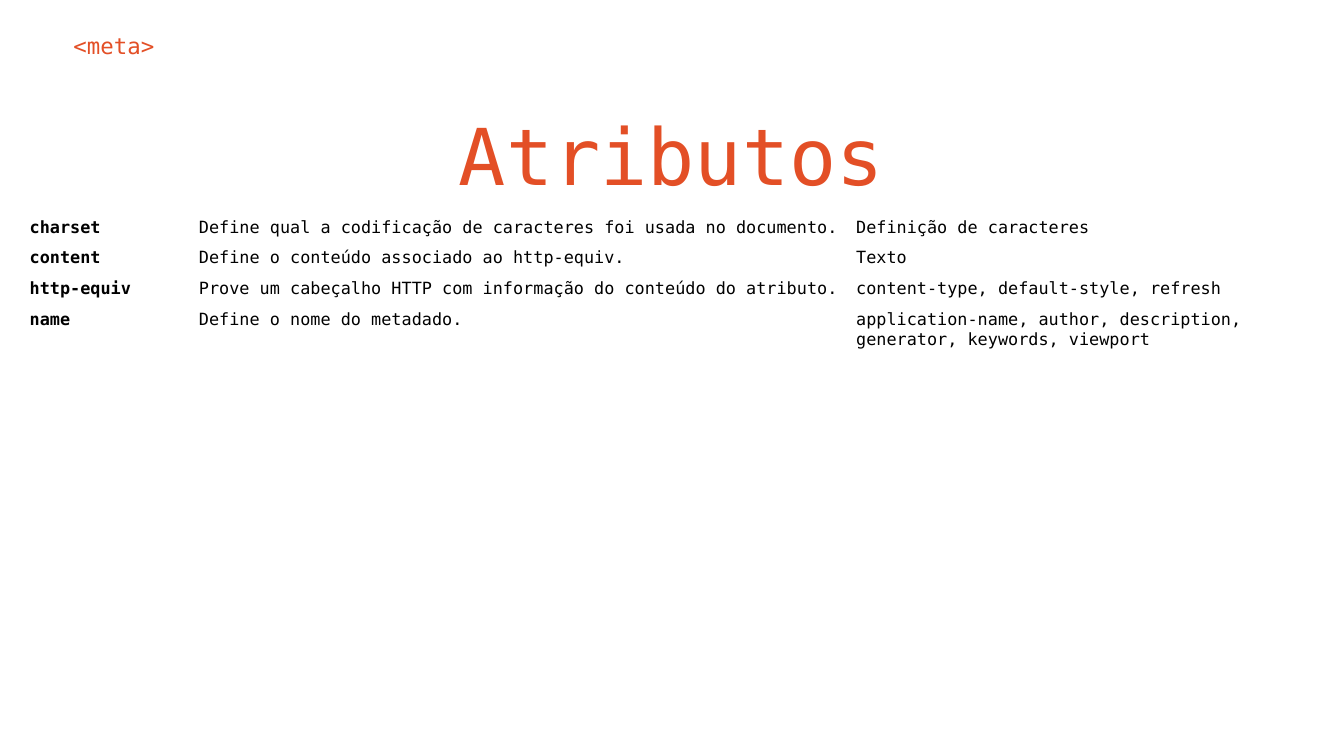
from dataclasses import dataclass

from pptx import Presentation
from pptx.dml.color import RGBColor as Rgb
from pptx.enum.text import MSO_ANCHOR as Anchor, MSO_AUTO_SIZE as Auto, PP_ALIGN as Align
from pptx.util import Cm, Pt


@dataclass(frozen=True)
class Theme:
    """Colours, font and type sizes of the slide."""
    font: str = "DejaVu Sans Mono"
    paper: str = "FFFFFF"
    accent: str = "E34F26"
    ink: str = "000000"
    title: int = 42
    label: int = 12
    body: int = 9


THEME = Theme()
HEAD = "Atributos"
TAG = "<meta>"
WIDTHS = (3.2, 12.42, 8.56)
ROWS = (
    ("charset", "Define qual a codificação de caracteres foi usada no documento.",
     "Definição de caracteres"),
    ("content", "Define o conteúdo associado ao http-equiv.", "Texto"),
    ("http-equiv", "Prove um cabeçalho HTTP com informação do conteúdo do atributo.",
     "content-type, default-style, refresh"),
    ("name", "Define o nome do metadado.",
     "application-name, author, description, generator, keywords, viewport"),
)


def write(frame, text, size, color, bold=False, align=Align.LEFT,
          inset=0.25, anchor=Anchor.MIDDLE):
    """Put formatted text in a text frame."""
    frame.word_wrap = True
    frame.vertical_anchor = anchor
    frame.margin_left = frame.margin_right = Cm(inset)
    frame.margin_top = frame.margin_bottom = Cm(inset)
    par = frame.paragraphs[0]
    par.alignment = align
    run = par.add_run()
    run.text = text
    font = run.font
    font.name, font.size, font.bold = THEME.font, Pt(size), bold
    font.color.rgb = Rgb.from_string(color)


class Page:
    """Holds the style and the current slide."""

    def __init__(self, deck, theme):
        """Add a title-only slide with a plain background."""
        self.theme = theme
        self.slide = deck.slides.add_slide(deck.slide_layouts[5])
        fill = self.slide.background.fill
        fill.solid()
        fill.fore_color.rgb = Rgb.from_string(theme.paper)

    def title(self, text, x, y, w, h):
        """Place and fill the title."""
        shape = self.slide.shapes.title
        shape.left, shape.top, shape.width, shape.height = map(Cm, (x, y, w, h))
        shape.text_frame.auto_size = Auto.NONE
        write(shape.text_frame, text, self.theme.title, self.theme.accent,
              align=Align.CENTER)

    def label(self, text, x, y, w, h):
        """Add a small accent text box."""
        box = self.slide.shapes.add_textbox(*map(Cm, (x, y, w, h)))
        write(box.text_frame, text, self.theme.label, self.theme.accent)

    def table(self, rows, widths, x, y, high):
        """Add a plain table whose first column is bold."""
        size = map(Cm, (x, y, sum(widths), high * len(rows)))
        grid = self.slide.shapes.add_table(len(rows), len(widths), *size).table
        grid.first_row = grid.horz_banding = False
        for col, wide in zip(grid.columns, widths):
            col.width = Cm(wide)
        for r, row in enumerate(rows):
            for c, text in enumerate(row):
                cell = grid.cell(r, c)
                cell.fill.background()
                cell.margin_left = cell.margin_right = Cm(0.1)
                cell.margin_top = cell.margin_bottom = Cm(0.1)
                cell.vertical_anchor = Anchor.TOP
                par = cell.text_frame.paragraphs[0]
                run = par.add_run()
                run.text = text
                font = run.font
                font.name, font.size = self.theme.font, Pt(self.theme.body)
                font.bold = c == 0
                font.color.rgb = Rgb.from_string(self.theme.ink)


def main():
    """Build and save the slide."""
    deck = Presentation()
    deck.slide_width, deck.slide_height = Cm(25.4), Cm(14.29)
    page = Page(deck, THEME)
    page.label(TAG, 1.14, 0.33, 23.32, 1.07)
    page.title(HEAD, 1.8, 1.83, 21.77, 2.18)
    page.table(ROWS, WIDTHS, 0.46, 4.01, 0.51)
    deck.save("out.pptx")


main()
